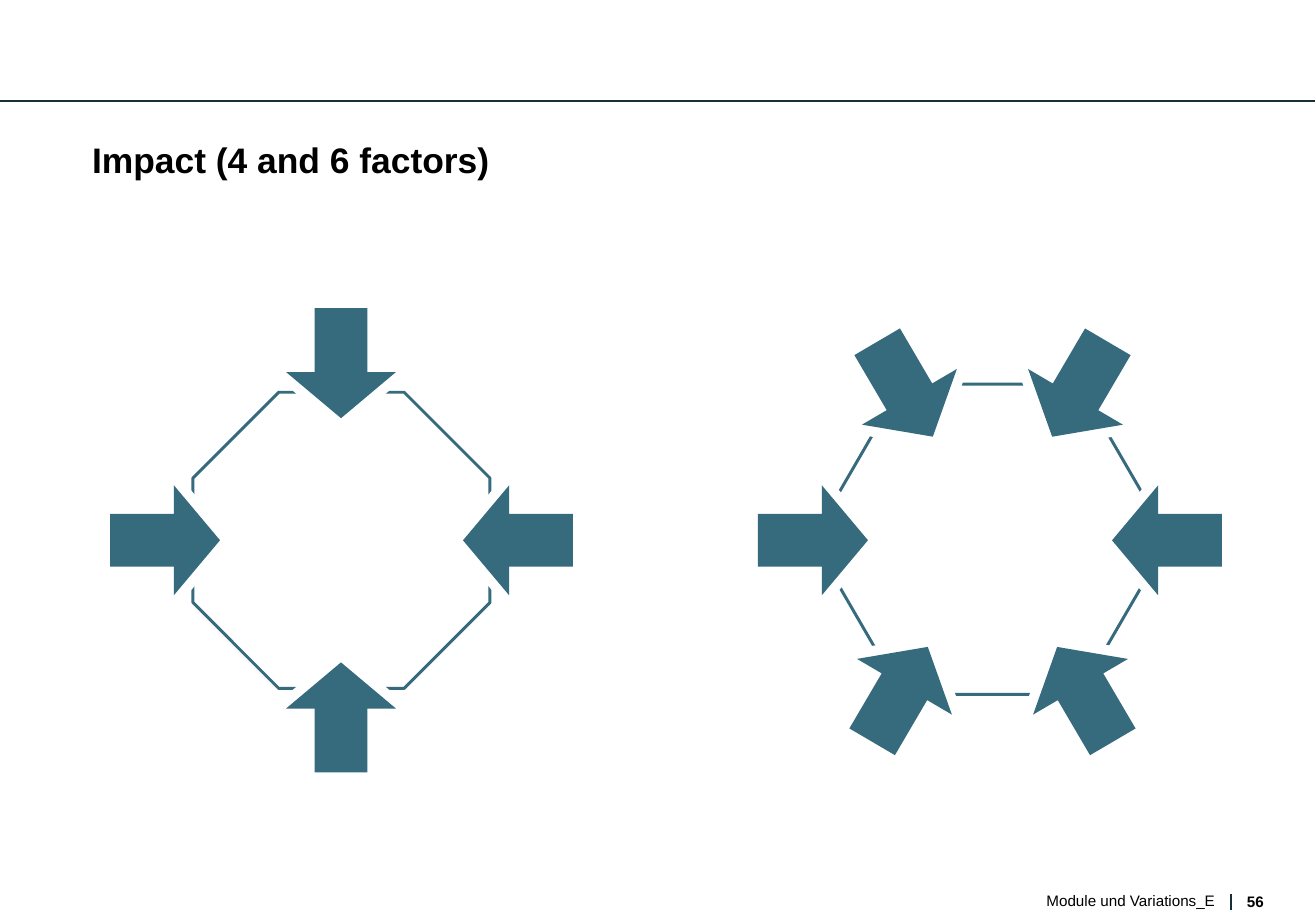
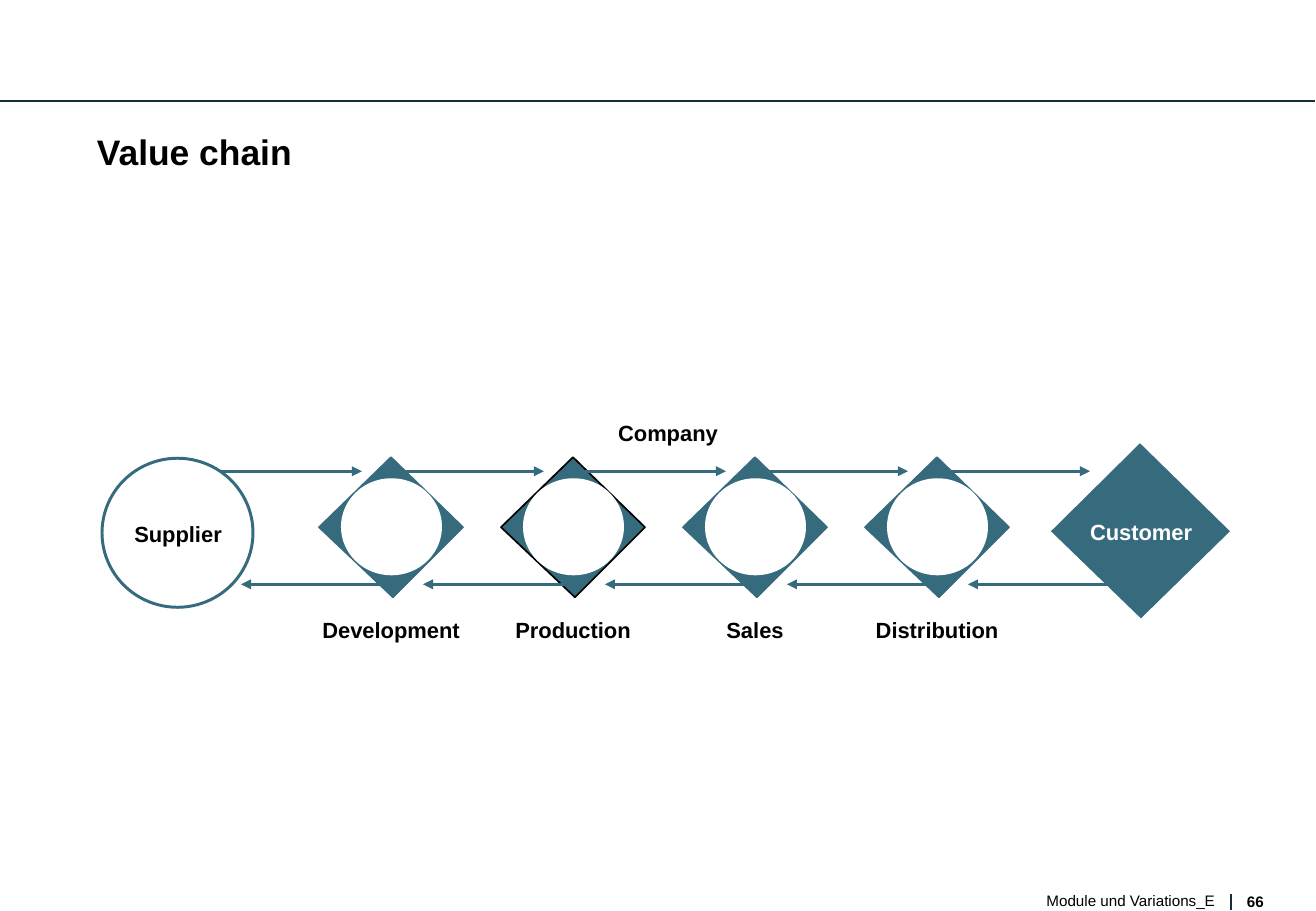
"""Build two diagram slides: converging impact arrows and a value chain."""
from dataclasses import dataclass

from lxml.etree import SubElement
from pptx import Presentation
from pptx.dml.color import RGBColor
from pptx.enum.shapes import MSO_CONNECTOR, MSO_SHAPE as Preset
from pptx.enum.text import MSO_ANCHOR as Anchor, MSO_AUTO_SIZE as AutoSize, PP_ALIGN as Align
from pptx.oxml.ns import qn
from pptx.util import Inches, Pt


@dataclass(frozen=True)
class Theme:
    """Colours, type sizes and line widths of the deck."""

    teal: RGBColor = RGBColor(0x36, 0x6B, 0x7E)
    rule: RGBColor = RGBColor(0x17, 0x2F, 0x37)
    black: RGBColor = RGBColor(0, 0, 0)
    white: RGBColor = RGBColor(0xFF, 0xFF, 0xFF)
    font: str = "Arial"
    title_size: int = 21
    label_size: int = 13
    footer_size: int = 9
    hairline: float = 0.75
    edge: float = 1
    stroke: float = 1.75
    halo: float = 10


THEME = Theme()
EMU_PER_PX = 7532
TITLE_ONLY = 5
ARROW_SIZE = 110
STEP = 182


def px(value):
    """Turn pixels into EMU."""
    return round(value * EMU_PER_PX)


def set_attributes(target, **values):
    """Set each named value on the target."""
    for name, value in values.items():
        setattr(target, name, value)


def write_text(shape, text, size, color=THEME.black, bold=True, align=Align.LEFT,
               anchor=Anchor.TOP, spacing=None):
    """Fill a text frame with one formatted paragraph."""
    frame = shape.text_frame
    frame.text = text
    set_attributes(frame, margin_left=0, margin_top=0, margin_right=0, margin_bottom=0,
                   word_wrap=True, auto_size=AutoSize.NONE, vertical_anchor=anchor)
    paragraph = frame.paragraphs[0]
    set_attributes(paragraph, alignment=align, line_spacing=spacing)
    set_attributes(paragraph.font, name=THEME.font, size=Pt(size), bold=bold)
    paragraph.font.color.rgb = color


def add_text(slide, box, text, size, **style):
    """Add a text box."""
    write_text(slide.shapes.add_textbox(*map(px, box)), text, size, **style)


def add_label(slide, center, top, text, color=THEME.black):
    """Add a bold label centred on a given x."""
    add_text(slide, (center - 70, top, 140, 27), text, THEME.label_size, color=color,
             align=Align.CENTER, anchor=Anchor.MIDDLE)


def paint(shape, fill, line=None, width=THEME.stroke):
    """Give a shape its fill and outline."""
    shape.shadow.inherit = False
    shape.fill.solid()
    shape.fill.fore_color.rgb = fill
    if line is None:
        shape.line.fill.background()
    else:
        shape.line.color.rgb = line
        shape.line.width = Pt(width)


def add_preset(slide, preset, box, fill, line=None, width=THEME.stroke, rotation=0, adjust=()):
    """Add a painted preset shape."""
    shape = slide.shapes.add_shape(preset, *map(px, box))
    for index, value in enumerate(adjust):
        shape.adjustments[index] = value
    shape.rotation = rotation
    paint(shape, fill, line, width)


def add_line(slide, start, end, color, width, arrow=False):
    """Add a straight line, with an arrowhead at its end if asked."""
    connector = slide.shapes.add_connector(MSO_CONNECTOR.STRAIGHT, *map(px, start + end))
    connector.line.color.rgb = color
    connector.line.width = Pt(width)
    properties = connector._element.spPr
    if arrow:
        SubElement(properties.find(qn("a:ln")), qn("a:tailEnd"), type="triangle")
    SubElement(properties, qn("a:effectLst"))


def add_flow(slide, start, end, y):
    """Add a horizontal flow arrow."""
    add_line(slide, (start, y), (end, y), THEME.teal, THEME.stroke, arrow=True)


def add_diamond(slide, points, line=None):
    """Add a teal diamond through four points."""
    builder = slide.shapes.build_freeform(*points[0], scale=EMU_PER_PX)
    builder.add_line_segments(points[1:], close=True)
    paint(builder.convert_to_shape(), THEME.teal, line, THEME.edge)


def add_impact_arrow(slide, hub, center, rotation):
    """Add an arrow pointing inwards, over a white halo set nearer the hub."""
    halo = [value + round((target - value) / 100) for value, target in zip(center, hub)]
    for (x, y), line in ((halo, THEME.white), (center, None)):
        box = (x - ARROW_SIZE / 2, y - ARROW_SIZE / 2, ARROW_SIZE, ARROW_SIZE)
        add_preset(slide, Preset.UP_ARROW, box, THEME.teal, line, THEME.halo, rotation,
                   (0.48, 0.42))


def add_impact(slide, preset, box, corner, hub, arrows):
    """Add an outlined polygon with arrows converging on it."""
    add_preset(slide, preset, box, THEME.white, THEME.teal, adjust=(corner,))
    for x, y, rotation in arrows:
        add_impact_arrow(slide, hub, (x, y), rotation)


def add_base_slide(presentation, title, title_box, number):
    """Add a slide with its title, rules and footer."""
    slide = presentation.slides.add_slide(presentation.slide_layouts[TITLE_ONLY])
    left, top, width, height = map(px, title_box)
    set_attributes(slide.shapes.title, left=left, top=top, width=width, height=height)
    write_text(slide.shapes.title, title, THEME.title_size, spacing=0.93)
    for start, end in (((0, 101), (1315, 101)), ((1231, 894), (1231, 910))):
        add_line(slide, start, end, THEME.rule, THEME.hairline)
    add_text(slide, (1247, 892, 21, 17), number, THEME.footer_size)
    add_text(slide, (755, 891, 460, 18), "Module und Variations_E", THEME.footer_size,
             bold=False, align=Align.RIGHT, spacing=Pt(11))
    return slide


def build_impact(presentation):
    """Build the slide with four and six factors."""
    slide = add_base_slide(presentation, "Impact (4 and 6 factors)", (92, 142, 1133, 34), "56")
    add_impact(slide, Preset.HEXAGON, (812, 384, 357, 310), 0.29, (990, 540), (
        (1085, 694, 329.6), (905, 389, 149.6), (1167, 540, 270),
        (813, 540, 90), (900, 694, 30.4), (1080, 389, 210.4)))
    add_impact(slide, Preset.OCTAGON, (193, 392, 297, 296), 0.29, (341, 540), (
        (518, 540, 270), (165, 540, 90), (341, 717, 0), (341, 363, 180)))


def build_value_chain(presentation):
    """Build the slide that links supplier, company stages and customer."""
    slide = add_base_slide(presentation, "Value chain", (97, 134, 1136, 87), "66")
    stages = ("Development", "Production", "Sales", "Distribution")
    add_flow(slide, 209, 362, 471)
    add_preset(slide, Preset.OVAL, (102, 458, 151, 149), THEME.white, THEME.teal)
    add_label(slide, 178, 520, "Supplier")
    add_diamond(slide, ((1140, 443), (1230, 531), (1141, 618), (1051, 531)))
    add_label(slide, 1141, 518, "Customer", THEME.white)
    add_label(slide, 668, 419, "Company")
    for index, stage in enumerate(stages):
        x = 391 + STEP * index
        line = THEME.black if stage == "Production" else THEME.teal
        add_diamond(slide, ((x, 457), (x + 72, 527), (x + 2, 597), (x - 72, 527)), line)
        add_preset(slide, Preset.OVAL, (x - 50, 478, 101, 97), THEME.white)
        add_label(slide, x, 616, stage)
    for index in range(len(stages)):
        x = 391 + STEP * index
        add_flow(slide, x, x + 153, 471)
        add_flow(slide, x + 2, x - 150, 584)
    add_flow(slide, 1141, 968, 584)


def main():
    """Build and save the deck."""
    presentation = Presentation()
    set_attributes(presentation, slide_width=Inches(10.84), slide_height=Inches(7.5))
    build_impact(presentation)
    build_value_chain(presentation)
    presentation.save("out.pptx")


if __name__ == "__main__":
    main()
